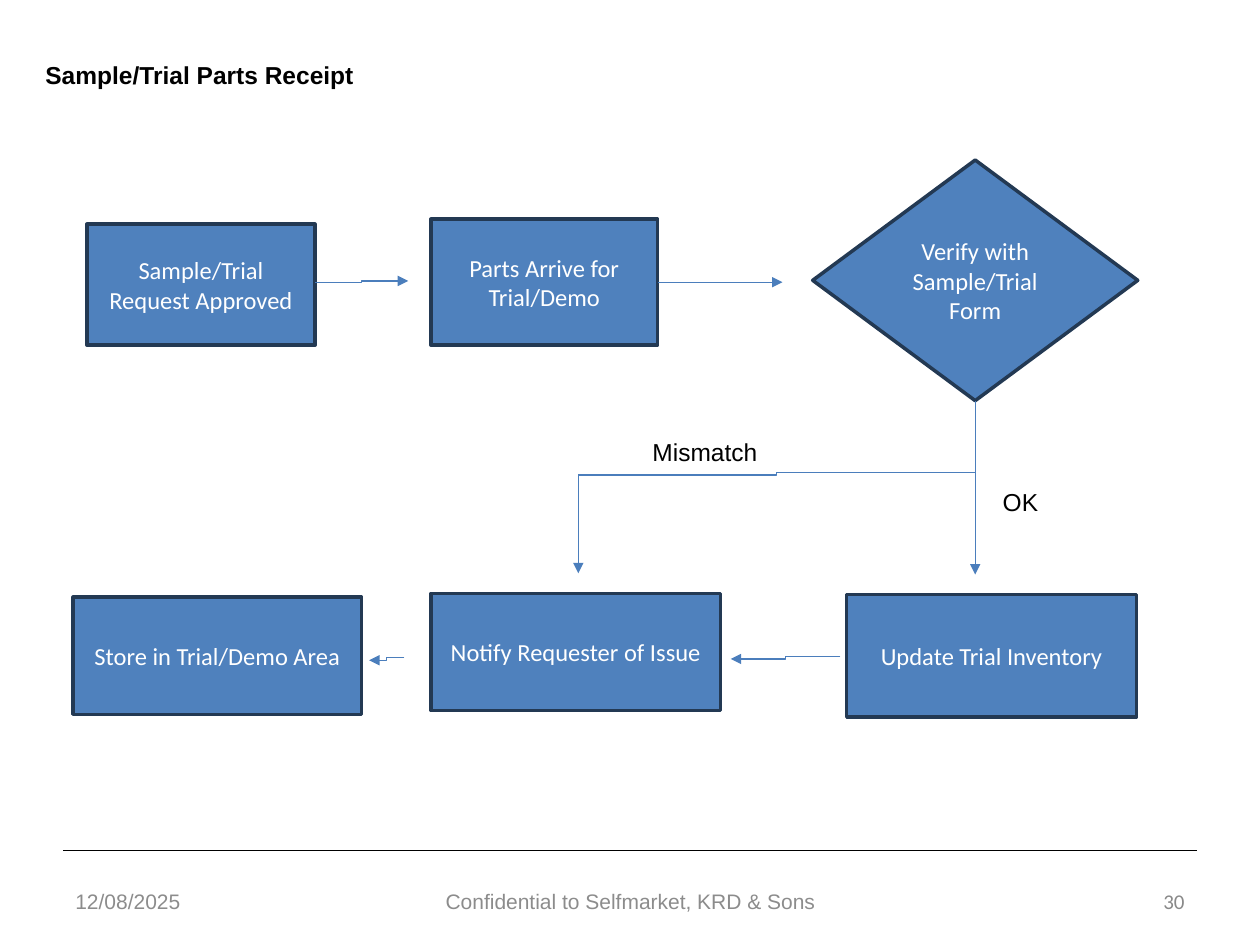
from dataclasses import dataclass

import lxml.etree
import pptx
import pptx.dml.color
import pptx.enum.shapes
import pptx.enum.text
import pptx.oxml.ns
import pptx.util

PX = 9144
SHAPE = pptx.enum.shapes.MSO_SHAPE
CONNECTOR = pptx.enum.shapes.MSO_CONNECTOR
ANCHOR = pptx.enum.text.MSO_ANCHOR
ALIGN = pptx.enum.text.PP_ALIGN


@dataclass(frozen=True)
class Theme:
    ink: str = "000000"
    step_fill: str = "4F81BD"
    step_edge: str = "233953"
    step_text: str = "FFFFFF"
    arrow: str = "4B7EBC"
    footer: str = "8C8C8C"
    page: str = "898989"
    body_font: str = "Arial"
    step_font: str = "Calibri"
    body_size: int = 14
    footer_size: int = 12
    edge_width: int = 2
    line_width: float = 0.75


THEME = Theme()


def rgb(value):
    return pptx.dml.color.RGBColor.from_string(value)


def px(*lengths):
    return [length * PX for length in lengths]


def within(region, left, top, width, height):
    return px(region[0] + left, region[1] + top, width, height)


def write(frame, text, font, size, color, align=ALIGN.LEFT, anchor=ANCHOR.TOP, bold=False):
    frame.word_wrap = True
    frame.vertical_anchor = anchor
    paragraph = frame.paragraphs[0]
    paragraph.alignment = align
    run = paragraph.add_run()
    run.text = text
    run.font.name = font
    run.font.size = pptx.util.Pt(size)
    run.font.bold = bold
    run.font.color.rgb = rgb(color)


def add_line(slide, start, end, color, kind=CONNECTOR.STRAIGHT, arrow=False, source=None):
    line = slide.shapes.add_connector(kind, *px(*start, *end))
    if source:
        line.begin_connect(*source)
    line.line.color.rgb = rgb(color)
    line.line.width = pptx.util.Pt(THEME.line_width)
    qn = pptx.oxml.ns.qn
    if arrow:
        stroke = line.line._get_or_add_ln()
        lxml.etree.SubElement(stroke, qn("a:tailEnd"), type="triangle")
    lxml.etree.SubElement(line._element.spPr, qn("a:effectLst"))


def add_heading(slide, region):
    heading = slide.shapes.title
    heading.left, heading.top, heading.width, heading.height = px(*region)
    write(heading.text_frame, "Sample/Trial Parts Receipt", THEME.body_font,
          THEME.body_size, THEME.ink, bold=True)


def add_step(slide, region, text, box, preset=SHAPE.RECTANGLE):
    step = slide.shapes.add_shape(preset, *within(region, *box))
    step.shadow.inherit = False
    step.fill.solid()
    step.fill.fore_color.rgb = rgb(THEME.step_fill)
    step.line.color.rgb = rgb(THEME.step_edge)
    step.line.width = pptx.util.Pt(THEME.edge_width)
    write(step.text_frame, text, THEME.step_font, THEME.body_size,
          THEME.step_text, ALIGN.CENTER, ANCHOR.MIDDLE)
    return step


def add_flow(slide, region):
    add_step(slide, region, "Sample/Trial Request Approved", (11, 51, 181, 96))
    arrival = add_step(slide, region, "Parts Arrive for Trial/Demo", (284, 47, 180, 100))
    verify = add_step(slide, region, "Verify with Sample/Trial Form",
                      (587, 0, 258, 191), SHAPE.DIAMOND)
    add_step(slide, region, "Store in Trial/Demo Area", (0, 347, 229, 93))
    add_step(slide, region, "Notify Requester of Issue", (284, 344, 230, 93))
    add_step(slide, region, "Update Trial Inventory", (614, 345, 230, 97))

    straight, elbow = CONNECTOR.STRAIGHT, CONNECTOR.ELBOW
    routes = [
        ((192, 97), (266, 96), elbow, True, None),
        ((464, 97), (563, 97), straight, True, (arrival, 3)),
        ((716, 191), (716, 329), straight, True, (verify, 2)),
        ((609, 394), (522, 396), elbow, True, None),
        ((263, 395), (235, 397), elbow, True, None),
        ((716, 248), (401, 250), elbow, False, None),
        ((401, 250), (401, 328), straight, True, None),
    ]
    left, top = region[:2]
    for start, end, kind, arrow, source in routes:
        add_line(slide, (left + start[0], top + start[1]), (left + end[0], top + end[1]),
                 THEME.arrow, kind, arrow, source)

    for outcome, x, y in [("OK", 728, 255), ("Mismatch", 450, 215)]:
        label = slide.shapes.add_textbox(*within(region, x, y, 140, 34))
        write(label.text_frame, outcome, THEME.body_font, THEME.body_size, THEME.ink)


def add_footer(slide, region):
    left, top, width, _ = region
    add_line(slide, (left, top), (left + width, top), THEME.ink)
    entries = [
        ("12/08/2025", 0, 233, ALIGN.LEFT, THEME.body_font, THEME.footer),
        ("Confidential to Selfmarket, KRD & Sons", 292, 317, ALIGN.CENTER,
         THEME.body_font, THEME.footer),
        ("30", 667, 233, ALIGN.RIGHT, THEME.step_font, THEME.page),
    ]
    for text, x, entry_width, align, font, color in entries:
        entry = slide.shapes.add_textbox(*within(region, x, 20, entry_width, 40))
        write(entry.text_frame, text, font, THEME.footer_size, color, align, ANCHOR.MIDDLE)


def main():
    deck = pptx.Presentation()
    deck.slide_width, deck.slide_height = px(1000, 750)
    slide = deck.slides.add_slide(deck.slide_layouts[5])
    add_footer(slide, (50, 675, 900, 60))
    add_heading(slide, (26, 43, 300, 34))
    add_flow(slide, (58, 127, 845, 442))
    deck.save("out.pptx")


if __name__ == "__main__":
    main()
